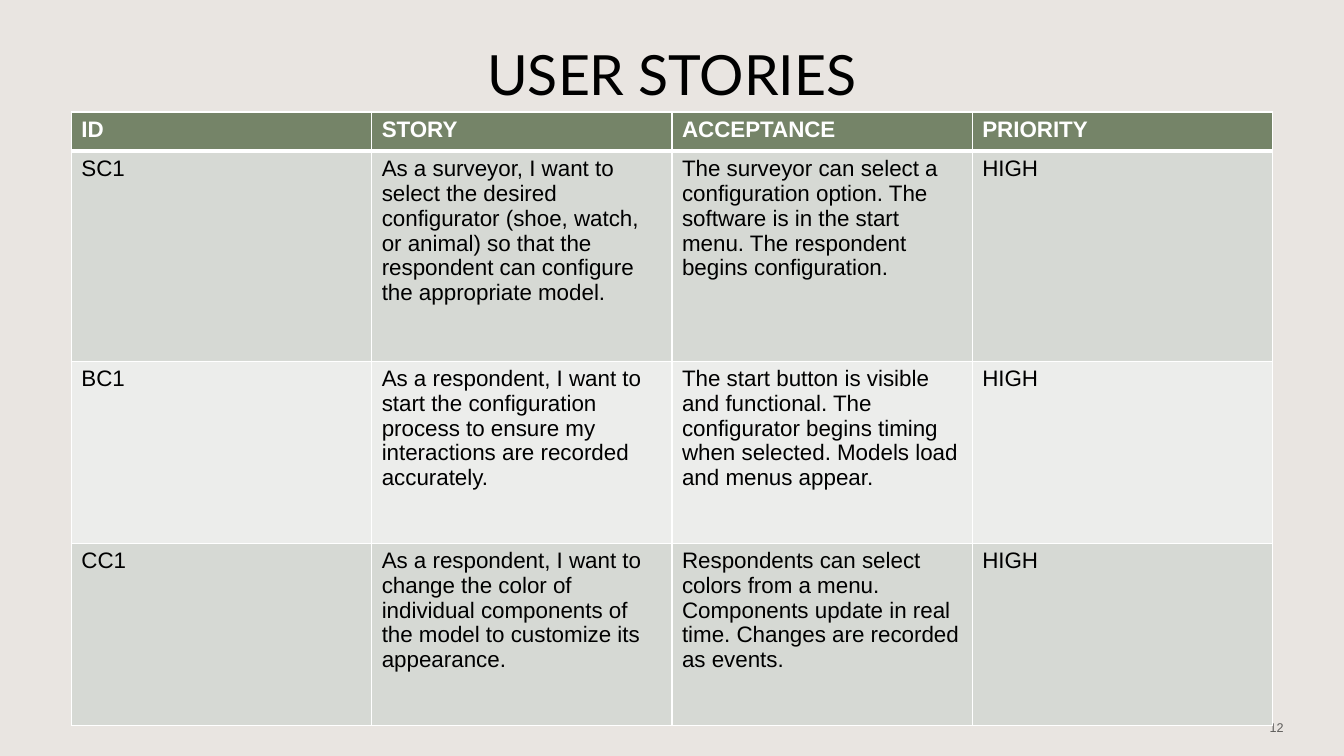
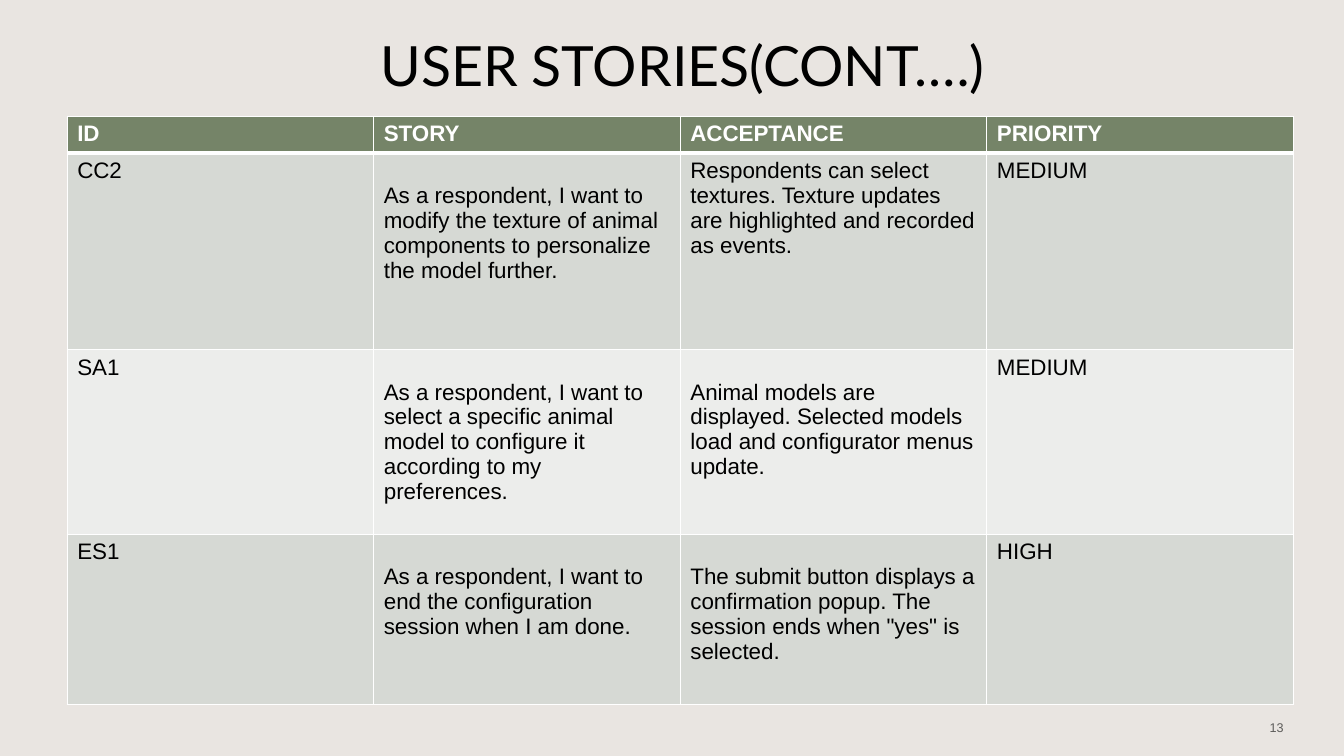
"""Build two slides of user stories, each a titled table with a slide number."""
from dataclasses import dataclass

from lxml import etree
from pptx import Presentation
from pptx import util as u
from pptx.dml.color import RGBColor
from pptx.enum import text
from pptx.oxml import ns

Pt = u.Pt


@dataclass(frozen=True)
class Theme:
    background: str = "E9E5E1"
    ink: str = "000000"
    white: str = "FFFFFF"
    number: str = "5D5C5A"
    header: str = "758468"
    bands: tuple[str, str] = ("D6D9D4", "ECEDEB")
    title_font: str = "Lato"
    body_font: str = "Arial"
    title_size: float = 39.6
    body_size: float = 16
    number_size: float = 9
    thin: float = 1
    thick: float = 3
    inset: float = 3.6
    line_drop: float = 17.9


@dataclass(frozen=True)
class Box:
    left: float
    top: float
    width: float
    height: float


@dataclass(frozen=True)
class Story:
    id: str
    story: str
    acceptance: str
    priority: str
    lowered: tuple[int, ...] = ()

    def cells(self) -> tuple[str, ...]:
        return self.id, self.story, self.acceptance, self.priority


@dataclass(frozen=True)
class StorySlide:
    title: str
    number: int
    title_box: Box
    table_box: Box
    rows: tuple[float, ...]
    stories: tuple[Story, ...]


THEME = Theme()
NUMBER_BOX = Box(708, 505.5, 216, 28.8)
HEADINGS = Story("ID", "STORY", "ACCEPTANCE", "PRIORITY")

SLIDES = (
    StorySlide(
        "USER STORIES", 12, Box(51, 24, 858, 56), Box(51, 80, 858, 438),
        (28, 150, 130, 130),
        (
            Story("SC1",
                  "As a surveyor, I want to select the desired configurator (shoe, watch, "
                  "or animal) so that the respondent can configure the appropriate model.",
                  "The surveyor can select a configuration option. The software is in the "
                  "start menu. The respondent begins configuration.", "HIGH"),
            Story("BC1",
                  "As a respondent, I want to start the configuration process to ensure my "
                  "interactions are recorded accurately.",
                  "The start button is visible and functional. The configurator begins "
                  "timing when selected. Models load and menus appear.", "HIGH"),
            Story("CC1",
                  "As a respondent, I want to change the color of individual components of "
                  "the model to customize its appearance.",
                  "Respondents can select colors from a menu. Components update in real "
                  "time. Changes are recorded as events.", "HIGH"),
        ),
    ),
    StorySlide(
        "USER STORIES(CONT.…)", 13, Box(51, 18.7, 873, 54), Box(48, 83, 876, 419.5),
        (25.5, 140.5, 132, 121.5),
        (
            Story("CC2",
                  "As a respondent, I want to modify the texture of animal components to "
                  "personalize the model further.",
                  "Respondents can select textures. Texture updates are highlighted and "
                  "recorded as events.", "MEDIUM", (1,)),
            Story("SA1",
                  "As a respondent, I want to select a specific animal model to configure "
                  "it according to my preferences.",
                  "Animal models are displayed. Selected models load and configurator "
                  "menus update.", "MEDIUM", (1, 2)),
            Story("ES1",
                  "As a respondent, I want to end the configuration session when I am done.",
                  "The submit button displays a confirmation popup. The session ends when "
                  "\"yes\" is selected.", "HIGH", (1, 2)),
        ),
    ),
)


def rgb(color: str) -> RGBColor:
    return RGBColor.from_string(color)


def lengths(box: Box) -> tuple[u.Length, ...]:
    return Pt(box.left), Pt(box.top), Pt(box.width), Pt(box.height)


def write(tf, content: str, *, size: float, color: str = THEME.ink,
          font: str = THEME.body_font, bold: bool = False,
          align=text.PP_ALIGN.LEFT) -> None:
    p = tf.paragraphs[0]
    p.alignment = align
    r = p.add_run()
    r.text = content
    r.font.size, r.font.name, r.font.bold = Pt(size), font, bold
    r.font.color.rgb = rgb(color)


def add_borders(cell, **widths: float) -> None:
    tcPr = cell._tc.get_or_add_tcPr()
    for side in "LRTB":
        width = widths.get(side, THEME.thin)
        ln = etree.SubElement(tcPr, ns.qn(f"a:ln{side}"), w=str(Pt(width)))
        fill = etree.SubElement(ln, ns.qn("a:solidFill"))
        etree.SubElement(fill, ns.qn("a:srgbClr"), val=THEME.white)


def add_title(s, content: str, box: Box) -> None:
    sp = s.shapes.title
    sp.left, sp.top, sp.width, sp.height = lengths(box)
    tf = sp.text_frame
    tf.auto_size = text.MSO_AUTO_SIZE.NONE
    tf.vertical_anchor = text.MSO_ANCHOR.MIDDLE
    write(tf, content, size=THEME.title_size, font=THEME.title_font,
          align=text.PP_ALIGN.CENTER)


def add_number(s, number: int) -> None:
    tf = s.shapes.add_textbox(*lengths(NUMBER_BOX)).text_frame
    tf.word_wrap = True
    tf.vertical_anchor = text.MSO_ANCHOR.MIDDLE
    write(tf, str(number), size=THEME.number_size, color=THEME.number,
          align=text.PP_ALIGN.RIGHT)


def add_stories(s, spec: StorySlide) -> None:
    lines = (HEADINGS, *spec.stories)
    columns = len(HEADINGS.cells())
    table = s.shapes.add_table(len(lines), columns, *lengths(spec.table_box)).table
    table.horz_banding = False
    for column in table.columns:
        column.width = Pt(spec.table_box.width / columns)
    for i, (line, height) in enumerate(zip(lines, spec.rows)):
        table.rows[i].height = Pt(height)
        is_header = i == 0
        for j, content in enumerate(line.cells()):
            cell = table.cell(i, j)
            add_borders(cell, T=THEME.thick if i == 1 else THEME.thin,
                        B=THEME.thick if is_header else THEME.thin)
            cell.fill.solid()
            cell.fill.fore_color.rgb = rgb(
                THEME.header if is_header else THEME.bands[(i - 1) % 2])
            drop = THEME.line_drop if j in line.lowered else 0
            cell.margin_top = Pt(THEME.inset + drop)
            write(cell.text_frame, content, size=THEME.body_size, bold=is_header,
                  color=THEME.white if is_header else THEME.ink)


def main() -> None:
    prs = Presentation()
    prs.slide_width, prs.slide_height = Pt(960), Pt(540)
    fill = prs.slide_master.background.fill
    fill.solid()
    fill.fore_color.rgb = rgb(THEME.background)
    title_only = prs.slide_layouts.get_by_name("Title Only")
    for spec in SLIDES:
        s = prs.slides.add_slide(title_only)
        add_title(s, spec.title, spec.title_box)
        add_number(s, spec.number)
        add_stories(s, spec)
    prs.save("out.pptx")


if __name__ == "__main__":
    main()
